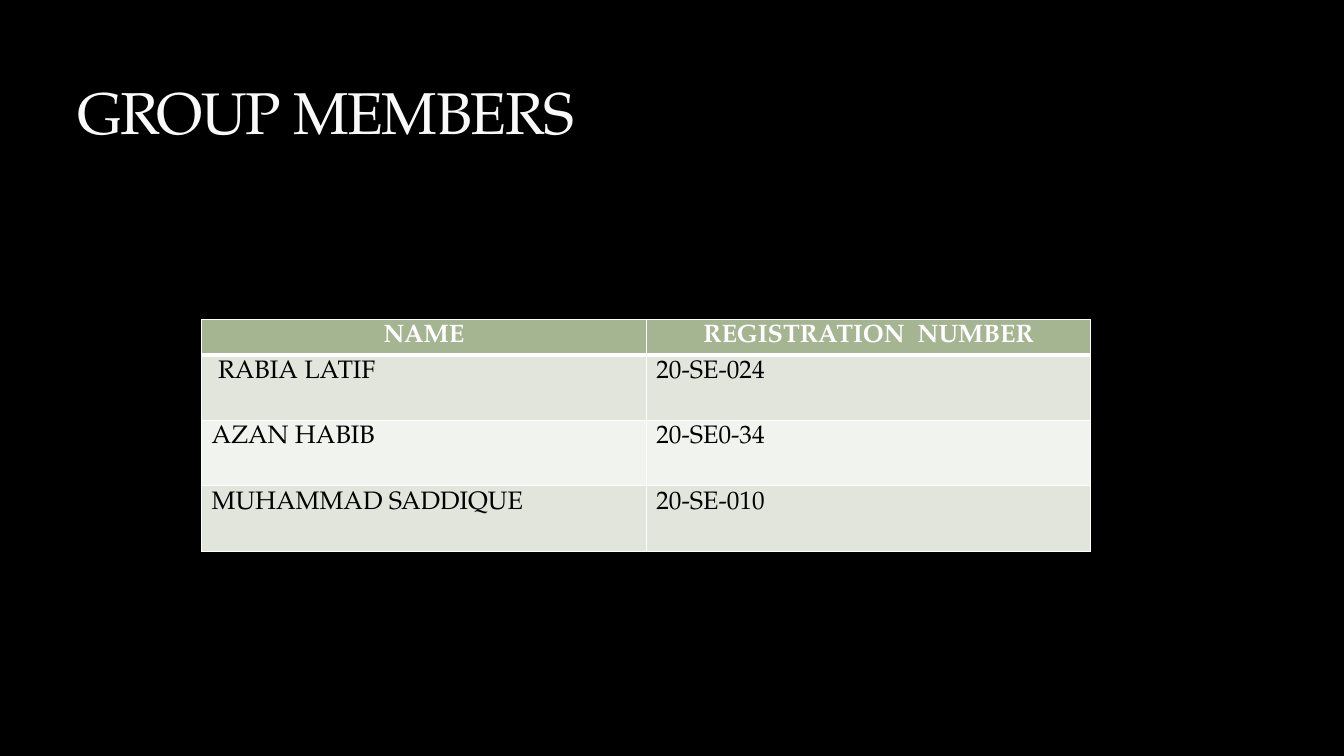
from lxml import etree
from pptx import Presentation
from pptx.dml.color import RGBColor
from pptx.enum.text import MSO_ANCHOR, PP_ALIGN
from pptx.oxml import parse_xml
from pptx.oxml.ns import nsdecls, qn
from pptx.util import Inches, Pt

BOTTOM = MSO_ANCHOR.BOTTOM
LEFT, CENTER = PP_ALIGN.LEFT, PP_ALIGN.CENTER
FONT = "TeX Gyre Pagella"


def paint(fill, hex_color):
    fill.solid()
    fill.fore_color.rgb = RGBColor.from_string(hex_color)


def add_run(paragraph, text, size, color, bold=False):
    run = paragraph.add_run()
    run.text = text
    run.font.name = FONT
    run.font.size = Pt(size)
    run.font.bold = bold
    paint(run.font.fill, color)
    return run


prs = Presentation()
prs.slide_width, prs.slide_height = Inches(13.33), Inches(7.5)
slide = prs.slides.add_slide(prs.slide_layouts[6])
paint(slide.background.fill, "000000")

# Title with tightened letters and a faint outline
title = slide.shapes.add_textbox(Inches(0.67), Inches(0.17), Inches(12), Inches(1.33)).text_frame
title.word_wrap = True
title.vertical_anchor = BOTTOM
title.margin_bottom = Inches(0.05)
heading = add_run(title.paragraphs[0], "GROUP MEMBERS", 42, "F9F9F9")
heading_props = heading._r.get_or_add_rPr()
heading_props.set("spc", "-100")
heading_props.insert(0, parse_xml(
    f'<a:ln {nsdecls("a")} w="3175"><a:solidFill><a:srgbClr val="3C4422">'
    '<a:alpha val="25000"/></a:srgbClr></a:solidFill></a:ln>'))

# Members table
members = [
    ("NAME", "REGISTRATION  NUMBER"),
    (" RABIA LATIF", "20-SE-024"),
    ("AZAN HABIB", "20-SE0-34"),
    ("MUHAMMAD SADDIQUE", "20-SE-010"),
]
row_heights = [0.34, 0.65, 0.65, 0.65]
row_fills = ["A5B592", "E1E5DC", "F0F3EE", "E1E5DC"]
table = slide.shapes.add_table(4, 2, Inches(2), Inches(3.17), Inches(8.82), Inches(2.29)).table
for column in table.columns:
    column.width = Inches(4.41)

for row, (member, height, fill) in enumerate(zip(members, row_heights, row_fills)):
    table.rows[row].height = Inches(height)
    header = row == 0
    for col, text in enumerate(member):
        cell = table.cell(row, col)
        cell.margin_left = cell.margin_right = Inches(0.1)
        cell.margin_top = Inches(0.05)
        cell.margin_bottom = 0

        # White borders, thicker below the header
        cell_props = cell._tc.get_or_add_tcPr()
        for side in ("lnL", "lnR", "lnT", "lnB"):
            thick = (row, side) in ((0, "lnB"), (1, "lnT"))
            border = etree.SubElement(cell_props, qn(f"a:{side}"), w=str(Pt(3 if thick else 1)))
            line_fill = etree.SubElement(border, qn("a:solidFill"))
            etree.SubElement(line_fill, qn("a:srgbClr"), val="FFFFFF")

        paint(cell.fill, fill)
        paragraph = cell.text_frame.paragraphs[0]
        paragraph.alignment = CENTER if header else LEFT
        add_run(paragraph, text, 18, "FFFFFF" if header else "000000", header)

prs.save("out.pptx")
